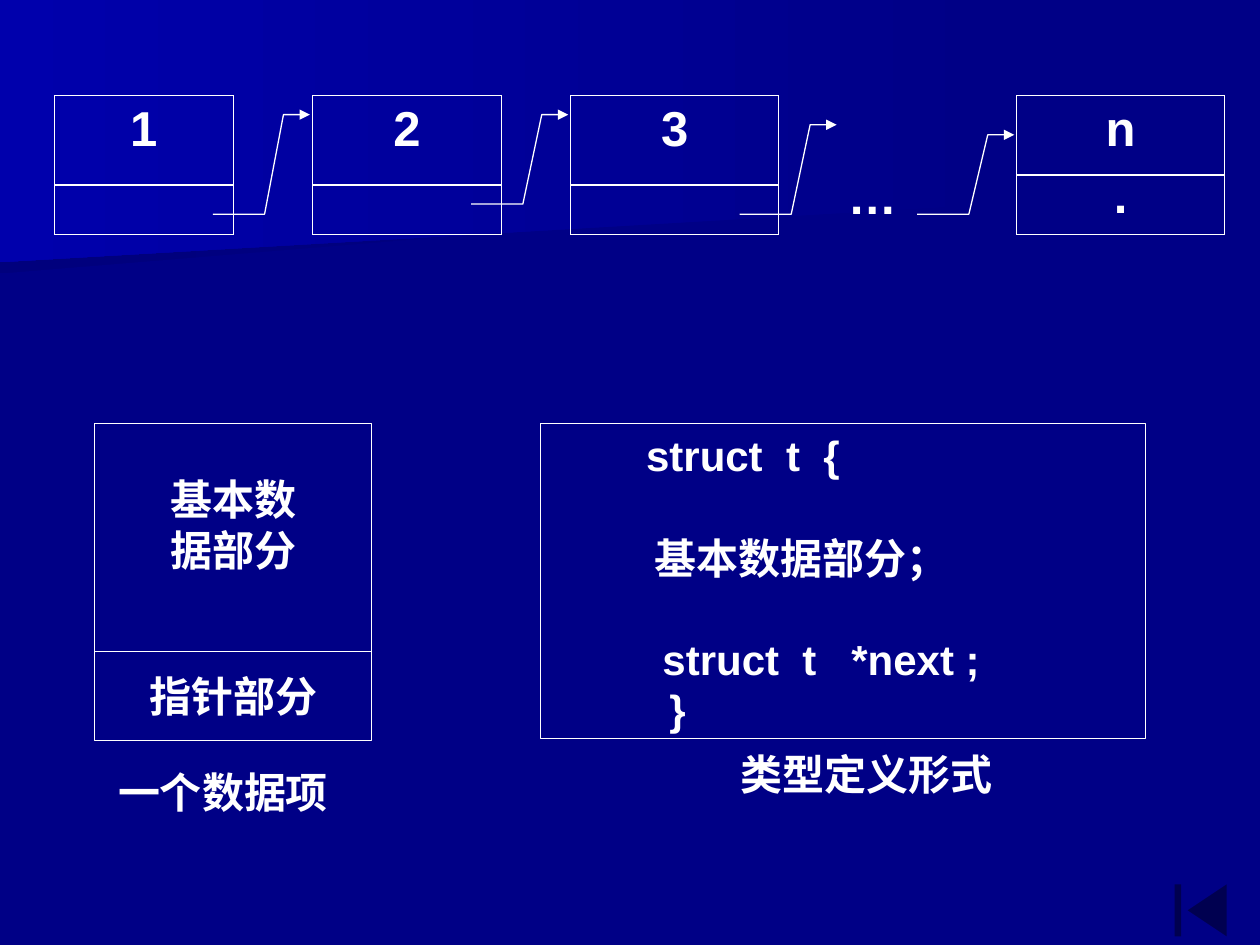
from typing import NamedTuple

from lxml import etree
from pptx import Presentation
from pptx.dml.color import RGBColor
from pptx.enum.shapes import MSO_CONNECTOR, MSO_SHAPE
from pptx.enum.text import MSO_ANCHOR, PP_ALIGN
from pptx.oxml.ns import qn
from pptx.util import Inches, Pt

STRAIGHT = MSO_CONNECTOR.STRAIGHT
RECTANGLE = MSO_SHAPE.RECTANGLE
BUTTON = MSO_SHAPE.ACTION_BUTTON_BEGINNING
TOP, MIDDLE = MSO_ANCHOR.TOP, MSO_ANCHOR.MIDDLE
LEFT, CENTER = PP_ALIGN.LEFT, PP_ALIGN.CENTER

COLORS = {"base": "000086", "shade": "00007D", "glow": "0000AC", "line": "FFFFFF", "text": "FFFFFF"}
FONT = "Arial"


class Band(NamedTuple):
    points: list[tuple[float, float]]
    end_color: str


class PointerArrow(NamedTuple):
    left: float
    bottom: float
    height: float


class Column(NamedTuple):
    width: float
    lines: list[str]
    is_node: bool
    divider: float = 0


class Panel(NamedTuple):
    box: tuple[float, float, float, float]
    lines: list[str]
    gaps: list[float]
    align: PP_ALIGN
    insets: tuple[float, float]


BANDS = [
    Band([(7.78, 1.53), (0, 2.17), (0, 1.01), (7.79, 1.01), (7.78, 1.28)], "shade"),
    Band([(7.92, 1.62), (0, 2.08), (0, 0), (7.92, 0)], "glow"),
]
ARROWS = [
    PointerArrow(1.69, 1.7, 0.79),
    PointerArrow(3.74, 1.62, 0.71),
    PointerArrow(5.87, 1.7, 0.71),
    PointerArrow(7.28, 1.7, 0.63),
]
ARROW_STEPS = [(0.41, 0), (0.56, 1), (0.77, 1)]
TABLE_LEFT, TABLE_TOP, TABLE_HEIGHT = 0.43, 0.76, 1.1
COLUMNS = [
    Column(1.42, ["1"], True, 1.47),
    Column(0.63, [], False),
    Column(1.5, ["2"], True, 1.47),
    Column(0.55, [], False),
    Column(1.65, ["3"], True, 1.47),
    Column(1.89, ["…"], False),
    Column(1.65, ["n", "."], True, 1.39),
]
PANELS = [
    Panel((4.29, 3.36, 4.8, 2.5),
          ["        struct  t  {", "\t    基本数据部分；", "\t    struct  t   *next ;", "          }"],
          [0, 30, 29, 0], LEFT, (0.1, 0.05)),
    Panel((0.75, 3.36, 2.2, 2.52), ["基本数\v据部分", "指针部分"], [0, 55], CENTER, (0.01, 0.4)),
]


def color(name: str) -> RGBColor:
    return RGBColor.from_string(COLORS[name])


def write(frame, lines: list[str], *, size: float, align=LEFT, gaps=None) -> None:
    for index, line in enumerate(lines):
        para = frame.paragraphs[0] if index == 0 else frame.add_paragraph()
        para.text = line
        para.alignment = align
        if gaps and gaps[index]:
            para.space_before = Pt(gaps[index])
        for span in para.runs:
            span.font.name = FONT
            span.font.size = Pt(size)
            span.font.bold = True
            span.font.color.rgb = color("text")


def set_insets(frame, side: float, top: float) -> None:
    frame.margin_left = frame.margin_right = Inches(side)
    frame.margin_top, frame.margin_bottom = Inches(top), Inches(0.01)


def add_path(page, points: list[tuple[float, float]], close: bool):
    corners = [(Inches(x), Inches(y)) for x, y in points]
    builder = page.shapes.build_freeform(*corners[0])
    builder.add_line_segments(corners[1:], close=close)
    shape = builder.convert_to_shape()
    shape.shadow.inherit = False
    return shape


def add_band(page, band: Band) -> None:
    shape = add_path(page, band.points, True)
    shape.line.fill.background()
    shape.fill.gradient()
    shape.fill.gradient_angle = 180
    for stop, name in zip(shape.fill.gradient_stops, ("base", band.end_color)):
        stop.color.rgb = color(name)


def add_arrow(page, arrow: PointerArrow) -> None:
    points = [(arrow.left, arrow.bottom)]
    points += [(arrow.left + x, arrow.bottom - rise * arrow.height) for x, rise in ARROW_STEPS]
    shape = add_path(page, points, False)
    shape.fill.background()
    shape.line.color.rgb = color("line")
    shape.line.width = Pt(0.75)
    etree.SubElement(shape.line._get_or_add_ln(), qn("a:tailEnd"), type="triangle")


def add_rule(page, left: float, right: float, top: float, weight: float) -> None:
    rule = page.shapes.add_connector(STRAIGHT, Inches(left), Inches(top), Inches(right), Inches(top))
    rule.line.color.rgb = color("line")
    rule.line.width = Pt(weight)
    etree.SubElement(rule._element.spPr, qn("a:effectLst"))


def add_panel(page, panel: Panel) -> None:
    shape = page.shapes.add_shape(RECTANGLE, *map(Inches, panel.box))
    shape.shadow.inherit = False
    shape.fill.background()
    shape.line.color.rgb = color("line")
    shape.line.width = Pt(0.75)
    frame = shape.text_frame
    frame.word_wrap = True
    frame.vertical_anchor = TOP
    set_insets(frame, *panel.insets)
    write(frame, panel.lines, size=24, align=panel.align, gaps=panel.gaps)


def add_caption(page, text: str, left: float, top: float, align) -> None:
    box = page.shapes.add_textbox(Inches(left), Inches(top), Inches(2.28), Inches(0.5))
    box.text_frame.word_wrap = True
    box.text_frame.vertical_anchor = MIDDLE
    write(box.text_frame, [text], size=24, align=align)


def set_borders(cell, is_node: bool) -> None:
    properties = cell._tc.get_or_add_tcPr()
    for side in "LRTB":
        border = etree.SubElement(properties, qn(f"a:ln{side}"), w=str(Pt(0.45)))
        if is_node or side in "LR":
            fill = etree.SubElement(border, qn("a:solidFill"))
            etree.SubElement(fill, qn("a:srgbClr"), val=COLORS["line"])
        else:
            etree.SubElement(border, qn("a:noFill"))


def add_list_nodes(page) -> None:
    total = sum(column.width for column in COLUMNS)
    table = page.shapes.add_table(1, len(COLUMNS), Inches(TABLE_LEFT), Inches(TABLE_TOP),
                                  Inches(total), Inches(TABLE_HEIGHT)).table
    table.first_row = table.horz_banding = False
    left = TABLE_LEFT
    for index, column in enumerate(COLUMNS):
        table.columns[index].width = Inches(column.width)
        cell = table.cell(0, index)
        set_borders(cell, column.is_node)
        cell.fill.background()
        set_insets(cell, 0.01, 0.05)
        if column.lines and not column.is_node:
            cell.margin_left, cell.margin_top = Inches(0.55), Inches(0.59)
        write(cell.text_frame, column.lines, size=28,
              align=CENTER if column.is_node else LEFT, gaps=[0, 7])
        if column.divider:
            add_rule(page, left, left + column.width, column.divider, 1)
        left += column.width


def main() -> None:
    deck = Presentation()
    deck.slide_width, deck.slide_height = Inches(10), Inches(7.5)
    page = deck.slides.add_slide(deck.slide_layouts[6])
    page.background.fill.solid()
    page.background.fill.fore_color.rgb = color("base")
    for band in BANDS:
        add_band(page, band)
    for panel in PANELS:
        add_panel(page, panel)
    add_caption(page, "类型定义形式", 5.78, 5.89, LEFT)
    add_caption(page, "一个数据项", 0.63, 6.03, CENTER)
    add_rule(page, 0.75, 2.95, 5.17, 0.75)
    button = page.shapes.add_shape(BUTTON, Inches(9.06), Inches(6.95), Inches(0.94), Inches(0.55))
    button.shadow.inherit = False
    button.fill.solid()
    button.fill.fore_color.rgb = color("base")
    button.line.fill.background()
    for arrow in ARROWS:
        add_arrow(page, arrow)
    add_list_nodes(page)
    deck.save("out.pptx")


if __name__ == "__main__":
    main()
